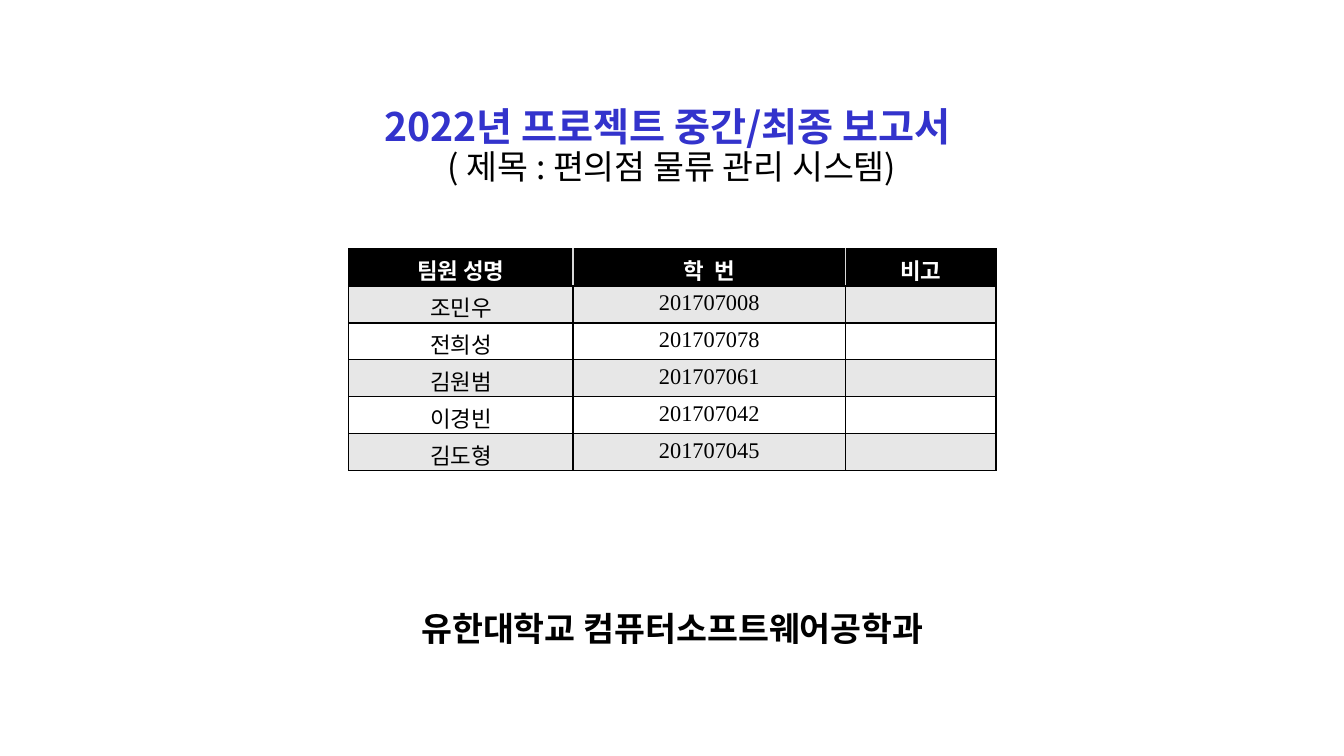
import dataclasses

import lxml.etree
import pptx
import pptx.dml.color
import pptx.enum.text
import pptx.oxml.ns
import pptx.util


@dataclasses.dataclass(frozen=True)
class Theme:
    """Colours, fonts and type sizes of the report cover."""
    accent: str = "3333CC"
    ink: str = "000000"
    paper: str = "FFFFFF"
    band: str = "E7E7E7"
    divider: str = "D9D9D9"
    sans: str = "Noto Sans CJK KR"
    serif: str = "Times New Roman"
    heading: int = 28
    subheading: int = 24
    cell: int = 16
    border: int = 1


class Cover:
    """Draws on one slide, with lengths in percent of its size."""

    def __init__(self, deck, theme):
        """Add a title-only slide to the deck."""
        self.deck = deck
        self.theme = theme
        self.slide = deck.slides.add_slide(deck.slide_layouts[5])

    def box(self, left, top, width, height):
        """Turn percentages into slide lengths."""
        across, down = self.deck.slide_width, self.deck.slide_height
        shares = ((left, across), (top, down), (width, across), (height, down))
        return [int(share * full / 100) for share, full in shares]

    def style(self, paragraph, size, color, font, bold=False):
        """Centre a paragraph and set its font for Latin and Korean text."""
        paragraph.alignment = pptx.enum.text.PP_ALIGN.CENTER
        paragraph.font.size = pptx.util.Pt(size)
        paragraph.font.bold = bold
        paragraph.font.color.rgb = pptx.dml.color.RGBColor.from_string(color)
        paragraph.font.name = font
        defaults = paragraph._p.pPr.find(pptx.oxml.ns.qn("a:defRPr"))
        korean = lxml.etree.SubElement(defaults, pptx.oxml.ns.qn("a:ea"))
        korean.set("typeface", self.theme.sans)

    def title(self, place, heading, subheading):
        """Fill the title placeholder with a heading and a subheading."""
        theme = self.theme
        title = self.slide.shapes.title
        title.left, title.top, title.width, title.height = self.box(*place)
        frame = title.text_frame
        frame.text = f"{heading}\n{subheading}"
        frame.word_wrap = True
        frame.auto_size = pptx.enum.text.MSO_AUTO_SIZE.NONE
        frame.vertical_anchor = pptx.enum.text.MSO_ANCHOR.TOP
        first, second = frame.paragraphs
        self.style(first, theme.heading, theme.accent, theme.sans, True)
        self.style(second, theme.subheading, theme.ink, theme.sans)
        for line in frame.paragraphs:
            line.line_spacing = 0.9

    def label(self, place, text):
        """Add a bold centred line of text."""
        theme = self.theme
        frame = self.slide.shapes.add_textbox(*self.box(*place)).text_frame
        frame.text = text
        frame.word_wrap = True
        frame.vertical_anchor = pptx.enum.text.MSO_ANCHOR.MIDDLE
        self.style(frame.paragraphs[0], theme.subheading, theme.ink, theme.serif, True)

    def borders(self, cell, colors):
        """Draw the left, right, top and bottom borders of a cell."""
        properties = cell._tc.get_or_add_tcPr()
        for index, (side, color) in enumerate(zip("LRTB", colors)):
            line = lxml.etree.Element(pptx.oxml.ns.qn(f"a:ln{side}"))
            line.set("w", str(pptx.util.Pt(self.theme.border)))
            fill = lxml.etree.SubElement(line, pptx.oxml.ns.qn("a:solidFill"))
            lxml.etree.SubElement(fill, pptx.oxml.ns.qn("a:srgbClr")).set("val", color)
            properties.insert(index, line)

    def table(self, place, shares, rows):
        """Add a banded table with a dark header row."""
        theme = self.theme
        left, top, width, height = self.box(*place)
        table = self.slide.shapes.add_table(
            len(rows), len(shares), left, top, width, height).table
        for column, share in zip(table.columns, shares):
            column.width = int(width * share / sum(shares))
        last = len(shares) - 1
        for r, row in enumerate(rows):
            header = r == 0
            fill = theme.ink if header else (theme.paper, theme.band)[r % 2]
            inner = theme.divider if header else theme.ink
            for c, text in enumerate(row):
                cell = table.cell(r, c)
                cell.text = text
                cell.fill.solid()
                cell.fill.fore_color.rgb = pptx.dml.color.RGBColor.from_string(fill)
                paragraph = cell.text_frame.paragraphs[0]
                self.style(paragraph, theme.cell,
                           theme.paper if header else theme.ink, theme.serif, header)
                if not text:
                    end = lxml.etree.SubElement(
                        paragraph._p, pptx.oxml.ns.qn("a:endParaRPr"))
                    end.set("sz", str(theme.cell * 100))
                self.borders(cell, (inner if c else theme.ink,
                                    inner if c < last else theme.ink,
                                    theme.ink, theme.ink))


def main():
    """Build the report cover and save it."""
    deck = pptx.Presentation()
    deck.slide_width = pptx.util.Inches(13.33)
    deck.slide_height = pptx.util.Inches(7.5)
    cover = Cover(deck, Theme())
    members = {
        "조민우": "201707008",
        "전희성": "201707078",
        "김원범": "201707061",
        "이경빈": "201707042",
        "김도형": "201707045",
    }
    cover.label((26.78, 79.73, 46.5, 6.8), "유한대학교 컴퓨터소프트웨어공학과")
    cover.table((25.95, 32.93, 48.16, 29.33), (2.22, 2.7, 1.49),
                [("팀원 성명", "학  번", "비고"),
                 *((name, number, "") for name, number in members.items())])
    cover.title((25, 13.6, 50, 13.07),
                "2022년 프로젝트 중간/최종 보고서 ", "( 제목 : 편의점 물류 관리 시스템)")
    deck.save("out.pptx")


if __name__ == "__main__":
    main()
